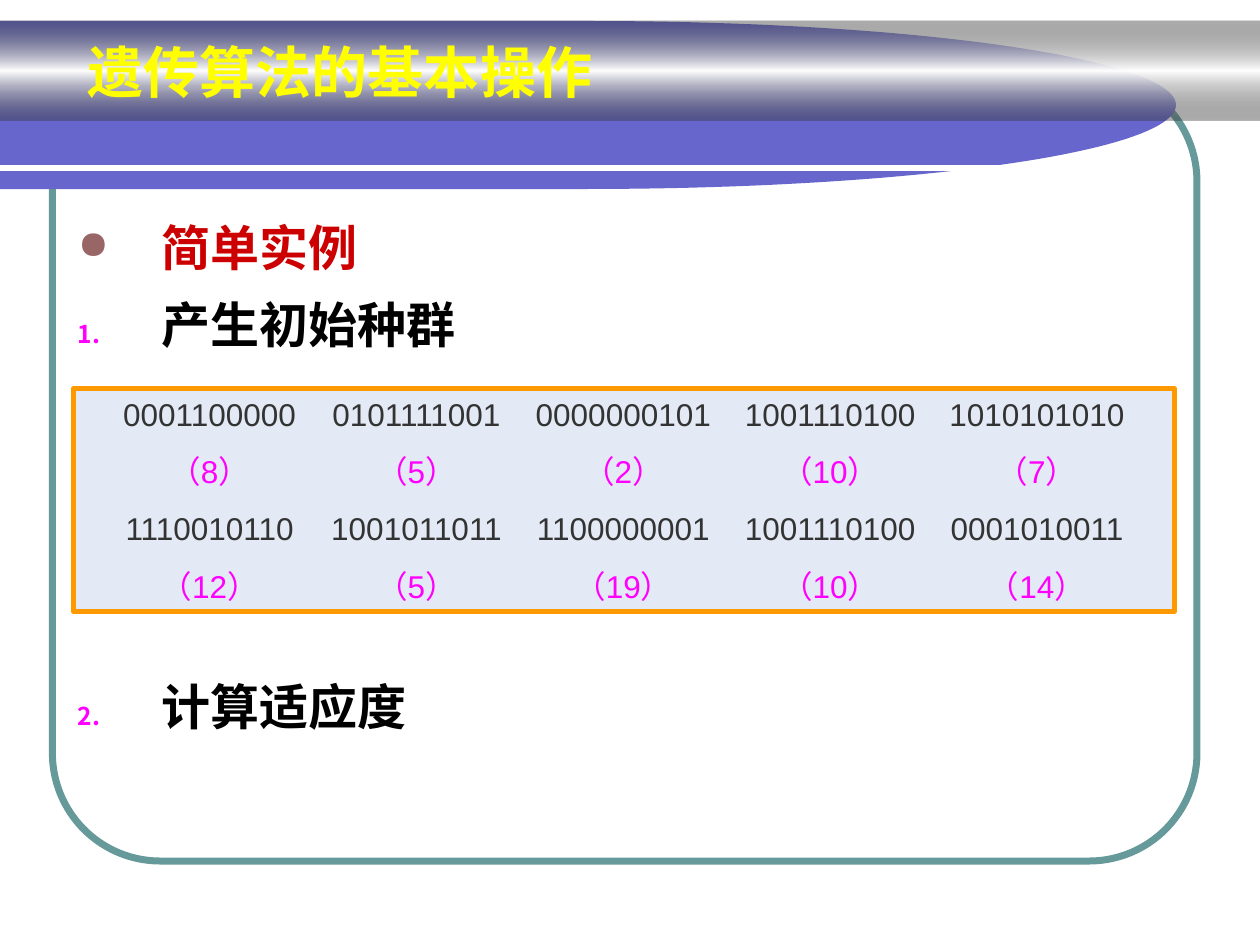
import math

from lxml import etree
from pptx import Presentation
from pptx.dml.color import RGBColor
from pptx.enum.shapes import MSO_CONNECTOR, MSO_SHAPE
from pptx.enum.text import MSO_ANCHOR, PP_ALIGN
from pptx.oxml.ns import qn
from pptx.util import Pt

ROUND_RECT, RECT = MSO_SHAPE.ROUNDED_RECTANGLE, MSO_SHAPE.RECTANGLE
STRAIGHT = MSO_CONNECTOR.STRAIGHT
LEFT, TOP, MIDDLE = PP_ALIGN.LEFT, MSO_ANCHOR.TOP, MSO_ANCHOR.MIDDLE
TITLE_ONLY = 5

MAGENTA = "FF00FF"
POPULATION = [
    [("0001100000", 8), ("0101111001", 5), ("0000000101", 2), ("1001110100", 10), ("1010101010", 7)],
    [("1110010110", 12), ("1001011011", 5), ("1100000001", 19), ("1001110100", 10), ("0001010011", 14)],
]


def rgb(value):
    return RGBColor.from_string(value)


def child(parent, tag, **attributes):
    return etree.SubElement(parent, qn(tag), attributes)


def write(paragraph, text, *, size, color, font="Arial", bold=False, before=0, spacing=None):
    """Put formatted text into a paragraph."""
    paragraph.alignment = LEFT
    paragraph.space_before = Pt(before)
    if spacing:
        paragraph.line_spacing = spacing
    run = paragraph.add_run()
    run.text = text
    run.font.name, run.font.size, run.font.bold = font, Pt(size), bold
    run.font.color.rgb = rgb(color)


def indent(paragraph, left, hanging=0):
    properties = paragraph._p.get_or_add_pPr()
    properties.set("marL", str(Pt(left)))
    properties.set("indent", str(-Pt(hanging)))
    return properties


def add_bullet(paragraph, color, percent, char=None):
    """Hang a bullet character, or an automatic number when no character is given."""
    properties = indent(paragraph, 48, 48)
    child(child(properties, "a:buClr"), "a:srgbClr", val=color)
    child(properties, "a:buSzPct", val=str(percent * 1000))
    if char:
        child(properties, "a:buChar", char=char)
    else:
        child(properties, "a:buAutoNum", type="arabicPeriod")


def add_center_tabs(paragraph, first, step, count):
    tabs = child(paragraph._p.get_or_add_pPr(), "a:tabLst")
    for column in range(count):
        child(tabs, "a:tab", pos=str(Pt(first + column * step)), algn="ctr")


class Deck:
    def __init__(self):
        self.presentation = Presentation()
        self.presentation.slide_width, self.presentation.slide_height = Pt(720), Pt(540)
        layout = self.presentation.slide_layouts[TITLE_ONLY]
        self.slide = self.presentation.slides.add_slide(layout)
        self.shapes = self.slide.shapes

    def style(self, shape, fill=None, line=None, line_width=0):
        shape.shadow.inherit = False
        if fill:
            shape.fill.solid()
            shape.fill.fore_color.rgb = rgb(fill)
        else:
            shape.fill.background()
        if line:
            shape.line.color.rgb = rgb(line)
            shape.line.width = Pt(line_width)
        else:
            shape.line.fill.background()
        return shape

    def box(self, kind, left, top, width, height, **style):
        shape = self.shapes.add_shape(kind, Pt(left), Pt(top), Pt(width), Pt(height))
        return self.style(shape, **style)

    def rounded_band(self, top, radius_x, radius_y, fill):
        """Band from the left edge that ends in half an ellipse."""
        angles = [math.radians(degree) for degree in range(-90, 91, 2)]
        outline = [(Pt(radius_x * (1 + math.cos(a))), Pt(top + radius_y * (1 + math.sin(a))))
                   for a in angles]
        builder = self.shapes.build_freeform(0, Pt(top))
        builder.add_line_segments(outline + [(0, Pt(top + 2 * radius_y))], close=True)
        return self.style(builder.convert_to_shape(), fill=fill)

    def rule(self, x1, x2, y, color, line_width):
        line = self.shapes.add_connector(STRAIGHT, Pt(x1), Pt(y), Pt(x2), Pt(y))
        line.line.color.rgb, line.line.width = rgb(color), Pt(line_width)
        child(line.element.spPr, "a:effectLst")

    def title(self, text, left, top, width, height, stops):
        title = self.shapes.title
        title.left, title.top, title.width, title.height = Pt(left), Pt(top), Pt(width), Pt(height)
        gradient = child(title.element.spPr, "a:gradFill", rotWithShape="1")
        stop_list = child(gradient, "a:gsLst")
        for position, color, opacity in stops:
            stop = child(stop_list, "a:gs", pos=str(position * 1000))
            child(child(stop, "a:srgbClr", val=color), "a:alpha", val=str(opacity * 1000))
        child(gradient, "a:lin", ang="5400000", scaled="0")
        title.element.getparent().append(title.element)  # in front of the backdrop
        title.text_frame.vertical_anchor = MIDDLE
        heading = title.text_frame.paragraphs[0]
        indent(heading, 43)
        write(heading, text, size=32, color="FFFF00", font="Times New Roman", bold=True)

    def outline(self, items, left, top, width, height):
        frame = self.shapes.add_textbox(Pt(left), Pt(top), Pt(width), Pt(height)).text_frame
        frame.word_wrap = True
        frame.vertical_anchor = TOP
        for index, (text, bullet, look) in enumerate(items):
            paragraph = frame.paragraphs[0] if index == 0 else frame.add_paragraph()
            add_bullet(paragraph, **bullet)
            write(paragraph, text, size=28, bold=True, spacing=1.2, **look)

    def population(self, rows, left, top, width, height):
        panel = self.box(RECT, left, top, width, height,
                         fill="E3EAF5", line="FF9900", line_width=3)
        frame = panel.text_frame
        frame.vertical_anchor = MIDDLE
        lines = []
        for row in rows:
            lines.append(([genes for genes, _ in row], "333333"))
            lines.append(([f"（{count}）" for _, count in row], MAGENTA))
        for index, (cells, color) in enumerate(lines):
            paragraph = frame.paragraphs[0] if index == 0 else frame.add_paragraph()
            add_center_tabs(paragraph, 70.7, 118.2, len(cells))
            write(paragraph, "".join("\t" + cell for cell in cells), size=18, color=color,
                  before=11.7 if index else 0, spacing=Pt(21))


def main():
    deck = Deck()

    # Backdrop
    border = deck.box(ROUND_RECT, 30, 42, 654, 450, line="669999", line_width=4)
    border.adjustments[0] = 0.137
    deck.rounded_band(12, 336, 48, "6666CC")
    deck.rule(0, 636, 96, "FFFFFF", 3)

    # Title bar
    deck.title("遗传算法的基本操作", 0, 12, 720, 57,
               [(0, "333333", 40), (50, "FFFFFF", 100), (100, "333333", 40)])

    # Steps of the example, with room for the population between them
    number = {"color": MAGENTA, "percent": 50}
    step = {"color": "000000", "font": "Times New Roman"}
    deck.outline([
        ("简单实例", {"color": "996666", "percent": 80, "char": "●"}, {"color": "CC0000"}),
        ("产生初始种群", number, {**step, "before": 3.5}),
        ("计算适应度", number, {**step, "before": 178}),
    ], 37.5, 114, 640, 317)

    # Initial population
    deck.population(POPULATION, 42, 222, 629, 127.5)

    deck.presentation.save("out.pptx")


if __name__ == "__main__":
    main()
